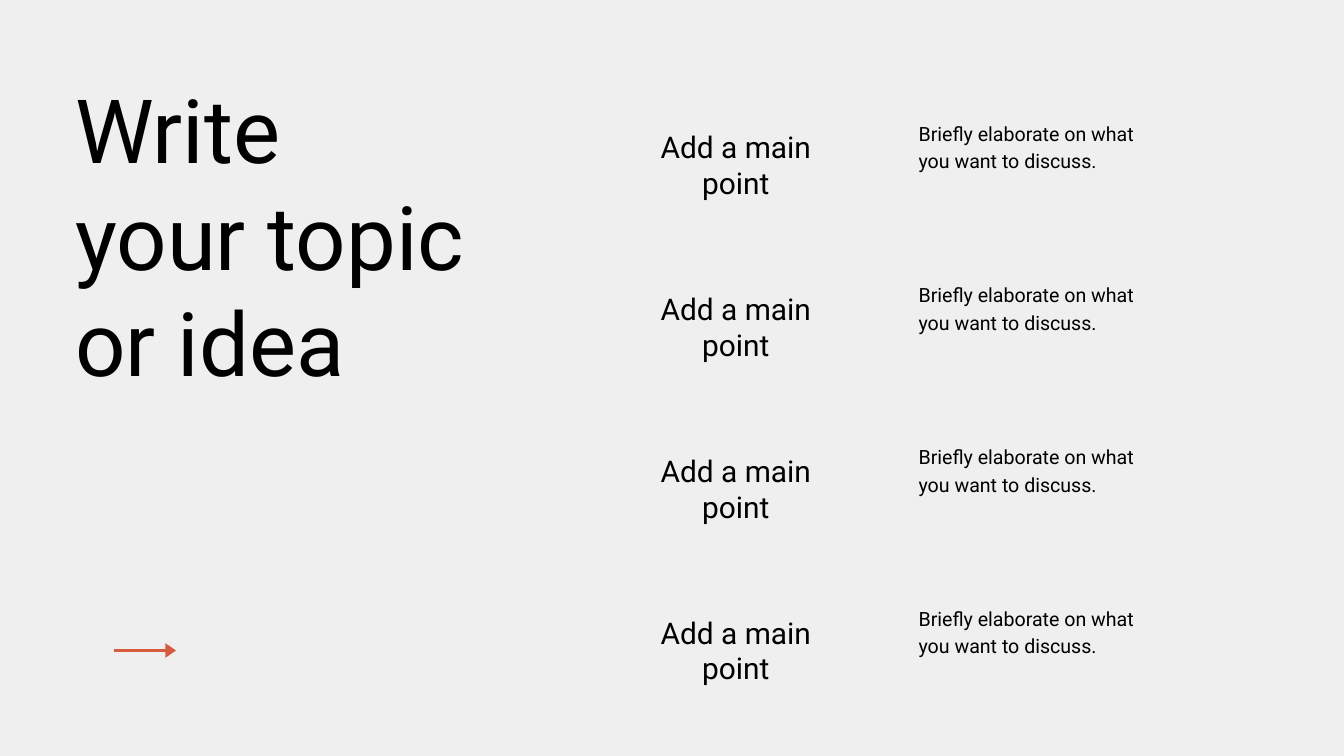
from dataclasses import dataclass

from pptx import Presentation
from pptx.dml.color import RGBColor
from pptx.enum.text import MSO_AUTO_SIZE, PP_ALIGN
from pptx.util import Inches, Pt

PAPER = RGBColor(0xEF, 0xEF, 0xEF)
BLACK = RGBColor(0x00, 0x00, 0x00)
RUST = RGBColor(0xD7, 0x5B, 0x3F)

ROWS = 4
STEP = 2.407
FRAME = dict(margin_left=0, margin_top=0, margin_right=0, margin_bottom=0,
             word_wrap=True, auto_size=MSO_AUTO_SIZE.SHAPE_TO_FIT_TEXT)


@dataclass(frozen=True)
class Block:
    lines: tuple[str, ...]
    left: float
    top: float
    width: float
    height: float
    size: float
    pitch: float
    align: PP_ALIGN = PP_ALIGN.LEFT


TITLE = Block(("Write your topic or idea",), 1.12, 1.12, 5.9, 4.75, 95, 114)
DETAIL = Block(("Briefly elaborate on what", "you want to discuss."),
               13.67, 1.75, 5.1, 0.81, 21, 29.4)
POINT = Block(("Add a main point",), 9.29, 1.92, 3.32, 0.52, 32, 38.4,
              PP_ALIGN.CENTER)

SHAFT = [(1.7, 9.66), (2.49, 9.66), (2.49, 9.7), (1.7, 9.7)]
HEAD = [(2.46, 9.79), (2.46, 9.57), (2.62, 9.68)]


def set_all(item, values: dict) -> None:
    for name, value in values.items():
        setattr(item, name, value)


def add_block(slide, block: Block, shift: float = 0) -> None:
    """Draw a text block, moved down by shift inches."""
    box = slide.shapes.add_textbox(Inches(block.left), Inches(block.top + shift),
                                   Inches(block.width), Inches(block.height))
    frame = box.text_frame
    set_all(frame, FRAME)
    frame.text = "\n".join(block.lines)
    for para in frame.paragraphs:
        set_all(para, dict(alignment=block.align, line_spacing=Pt(block.pitch)))
        font = para.runs[0].font
        set_all(font, dict(name="Roboto", size=Pt(block.size)))
        font.color.rgb = BLACK


def add_arrow(slide) -> None:
    group = slide.shapes.add_group_shape()
    for points in (SHAFT, HEAD):
        first, *rest = [(Inches(x), Inches(y)) for x, y in points]
        path = group.shapes.build_freeform(*first)
        path.add_line_segments(rest, close=True)
        part = path.convert_to_shape()
        part.shadow.inherit = False
        part.fill.solid()
        part.fill.fore_color.rgb = RUST
        part.line.fill.background()


def main() -> None:
    deck = Presentation()
    set_all(deck, dict(slide_width=Inches(20), slide_height=Inches(11.25)))
    slide = deck.slides.add_slide(deck.slide_layouts[6])
    fill = slide.background.fill
    fill.solid()
    fill.fore_color.rgb = PAPER

    add_block(slide, TITLE)
    for block in (DETAIL, POINT):
        for row in range(ROWS):
            add_block(slide, block, row * STEP)
    add_arrow(slide)
    deck.save("out.pptx")


if __name__ == "__main__":
    main()
